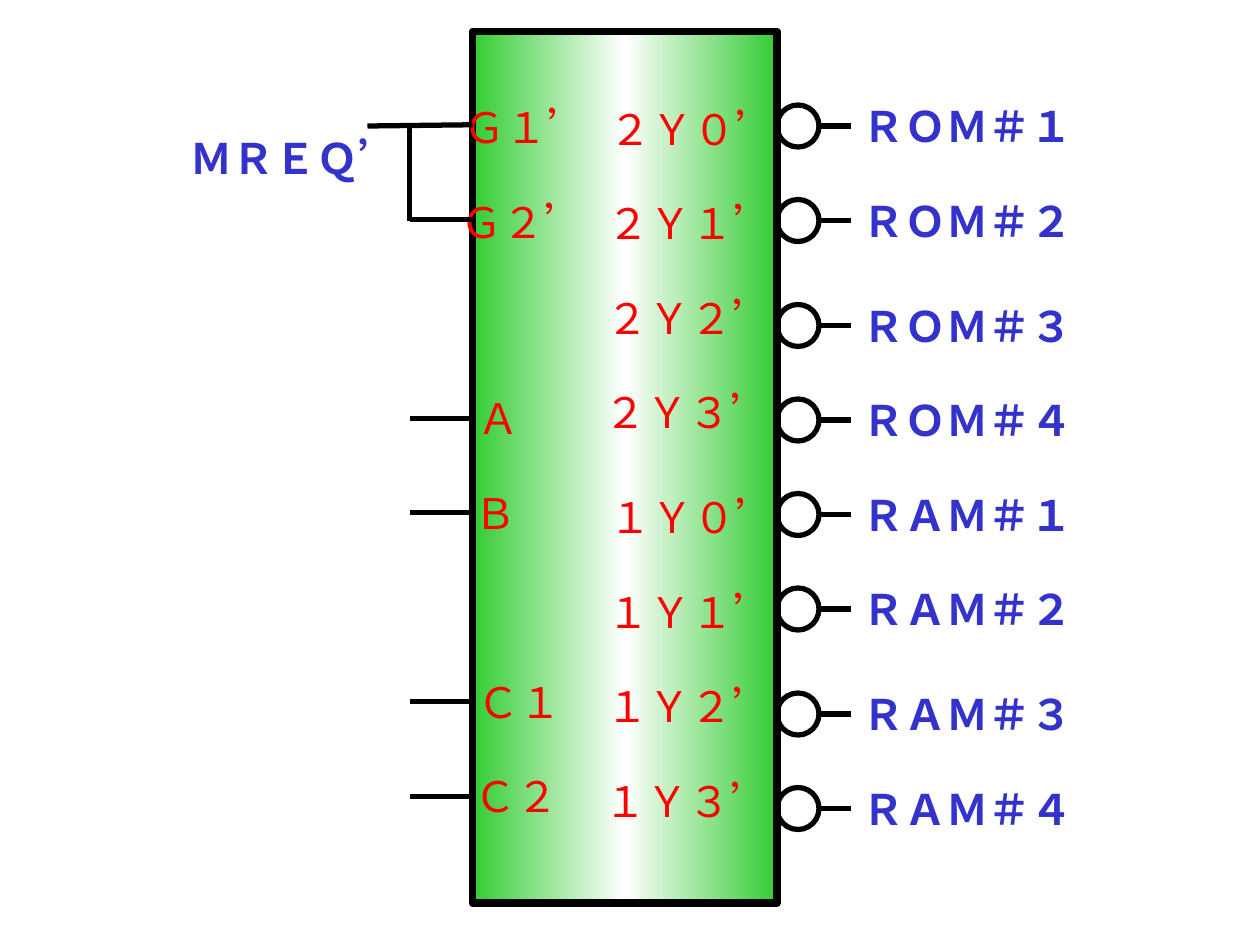
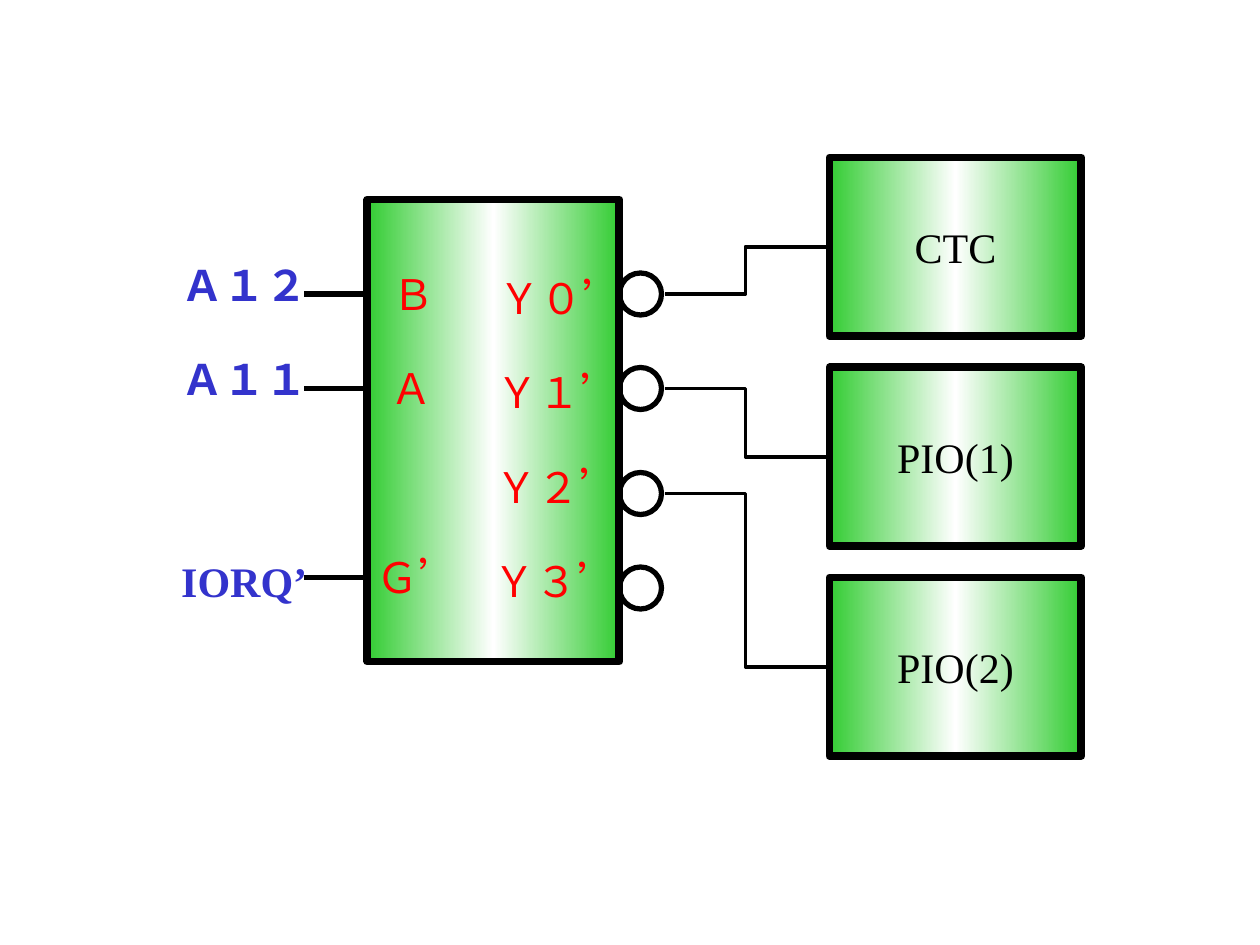
from copy import deepcopy

from lxml import etree
from pptx import Presentation
from pptx.dml.color import RGBColor
from pptx.enum.shapes import MSO_CONNECTOR, MSO_SHAPE
from pptx.enum.text import MSO_ANCHOR, MSO_AUTO_SIZE, PP_ALIGN
from pptx.oxml.ns import qn
from pptx.util import Pt

RECTANGLE, OVAL = MSO_SHAPE.RECTANGLE, MSO_SHAPE.OVAL
STRAIGHT, ELBOW = MSO_CONNECTOR.STRAIGHT, MSO_CONNECTOR.ELBOW
MIDDLE, CENTER = MSO_ANCHOR.MIDDLE, PP_ALIGN.CENTER
FIT_SHAPE = MSO_AUTO_SIZE.SHAPE_TO_FIT_TEXT

BLACK, PIN_RED, SIGNAL_BLUE, EDGE_GREEN, WHITE = (
    "000000", "FF0000", "3333CC", "33CC33", "FFFFFF")
FONT, SIZE = "Times New Roman", 24
BUBBLE = 24
FIRST_BUBBLE = 42                 # from chip top to the first bubble
BUBBLE_STEPS = (0, 54, 114, 168)  # bubbles within a bank of four
BANK_PITCH = 222
PIN_PITCH = 54
LEAD = 36                         # length of an input wire


def color(value):
    return RGBColor.from_string(value)


def write(para, text, ink, bold=False):
    span = para.add_run()
    span.text = text
    span.font.name = FONT
    span.font.size = Pt(SIZE)
    span.font.bold = bold
    span.font.color.rgb = color(ink)


def label(page, left, top, text, ink, bold=False, width=None):
    """One line of text; by default as wide as its full-width letters."""
    width = width or SIZE * len(text) + 14.4
    box = page.shapes.add_textbox(Pt(left), Pt(top), Pt(width), Pt(36))
    box.text_frame.word_wrap = False
    box.text_frame.auto_size = FIT_SHAPE
    write(box.text_frame.paragraphs[0], text, ink, bold)


def signal(page, left, top, text, width=None):
    label(page, left, top, text, SIGNAL_BLUE, True, width)


def wire(page, start, end, weight=3, kind=STRAIGHT):
    line = page.shapes.add_connector(kind, *map(Pt, start + end))
    line.line.color.rgb = color(BLACK)
    line.line.width = Pt(weight)
    etree.SubElement(line._element.spPr, qn("a:effectLst"))


def outlined(page, kind, box, weight):
    shape = page.shapes.add_shape(kind, *map(Pt, box))
    shape.shadow.inherit = False
    shape.line.color.rgb = color(BLACK)
    shape.line.width = Pt(weight)
    return shape


def block(page, box, text=None):
    """Green block that is white along its middle."""
    shape = outlined(page, RECTANGLE, box, 4.5)
    fill = shape.fill
    fill.gradient()
    fill.gradient_angle = 0
    stops = shape._element.spPr.find(".//" + qn("a:gsLst"))
    stops.insert(1, deepcopy(stops[0]))
    for stop, place, shade in zip(fill.gradient_stops, (0, 0.5, 1),
                                  (EDGE_GREEN, WHITE, EDGE_GREEN)):
        stop.position = place
        stop.color.rgb = color(shade)
    if text:
        frame = shape.text_frame
        frame.word_wrap = False
        frame.vertical_anchor = MIDDLE
        frame.paragraphs[0].alignment = CENTER
        write(frame.paragraphs[0], text, BLACK)


def output_bank(page, chip, bank, names, pin_left, pin_rise):
    """Four inverted outputs; returns the right-hand point of each bubble."""
    left, top, width, _ = chip
    first = top + FIRST_BUBBLE + bank * BANK_PITCH
    ends = []
    for row, (name, step) in enumerate(zip(names, BUBBLE_STEPS)):
        label(page, left + pin_left - row, first - pin_rise + row * PIN_PITCH,
              name, PIN_RED)
        bubble = (left + width, first + step, BUBBLE, BUBBLE)
        outlined(page, OVAL, bubble, 3).fill.background()
        ends.append((left + width + BUBBLE, first + step + BUBBLE / 2))
    return ends


def input_pins(page, chip, pins):
    """Pins are (name, text offset from chip, wire y, text rise, wire drawn)."""
    left, top = chip[:2]
    for name, inset, drop, rise, wired in pins:
        label(page, left + inset, top + drop - rise, name, PIN_RED)
        if wired:
            wire(page, (left, top + drop), (left - LEAD, top + drop))


def memory_decoder(page, chip):
    left, top = chip[:2]
    block(page, chip)

    # Inputs
    input_pins(page, chip, (
        ("Ｇ１’", -12.2, 53.3, 16.6, False), ("Ｇ２’", -13.7, 107.3, 16.6, True),
        ("Ａ", -4.3, 221, 18, True), ("Ｂ", -5.8, 275, 18, True),
        ("Ｃ１", -4.3, 383, 18, True), ("Ｃ２", -5.8, 437, 18, True)))

    # Shared enable signal
    wire(page, (left, top + 53.3), (left - 60, top + 54))
    wire(page, (left - LEAD, top + 108), (left - LEAD, top + 54))
    signal(page, left - 168.5, top + 54, "ＭＲＥＱ’")

    # Output banks with their chip selects
    for bank, (half, memory) in enumerate((("２", "ＲＯＭ"), ("１", "ＲＡＭ"))):
        names = [f"{half}Ｙ{digit}’" for digit in "０１２３"]
        ends = output_bank(page, chip, bank, names, 71.3, 4.4)
        for digit, (x, y) in zip("１２３４", ends):
            wire(page, (x + 18, y), (x, y))
            signal(page, x + 18, y - 18, f"{memory}＃{digit}")


def device_decoder(page, chip):
    left, top = chip[:2]
    block(page, chip)

    # Inputs and address signals
    input_pins(page, chip, (
        ("Ｂ", 7.4, 54, 18.2, True), ("Ａ", 6, 108, 18.2, True),
        ("Ｇ’", -2, 216, 18.2, True)))
    for name, drop in (("Ａ１２", 30.7), ("Ａ１１", 84.7), ("IORQ’", 199.9)):
        signal(page, left - 113.5, top + drop, name, 86.4)

    # Outputs
    names = [f"Ｙ{digit}’" for digit in "０１２３"]
    ends = output_bank(page, chip, 0, names, 67.9, 4.1)

    # Selected devices
    width, height, pitch = 144, 102, 120
    device_left, device_top = left + 264, top - 24
    for row, (name, (x, y)) in enumerate(zip(("CTC", "PIO(1)", "PIO(2)"), ends)):
        box_top = device_top + row * pitch
        block(page, (device_left, box_top, width, height), name)
        wire(page, (x + 2, y), (device_left - 2, box_top + height / 2), 2.25, ELBOW)


def main():
    deck = Presentation()
    deck.slide_width, deck.slide_height = Pt(720), Pt(540)
    blank = deck.slide_layouts[6]
    memory_decoder(deck.slides.add_slide(blank), (270, 18, 174, 498))
    device_decoder(deck.slides.add_slide(blank), (210, 114, 144, 264))
    deck.save("out.pptx")


if __name__ == "__main__":
    main()
